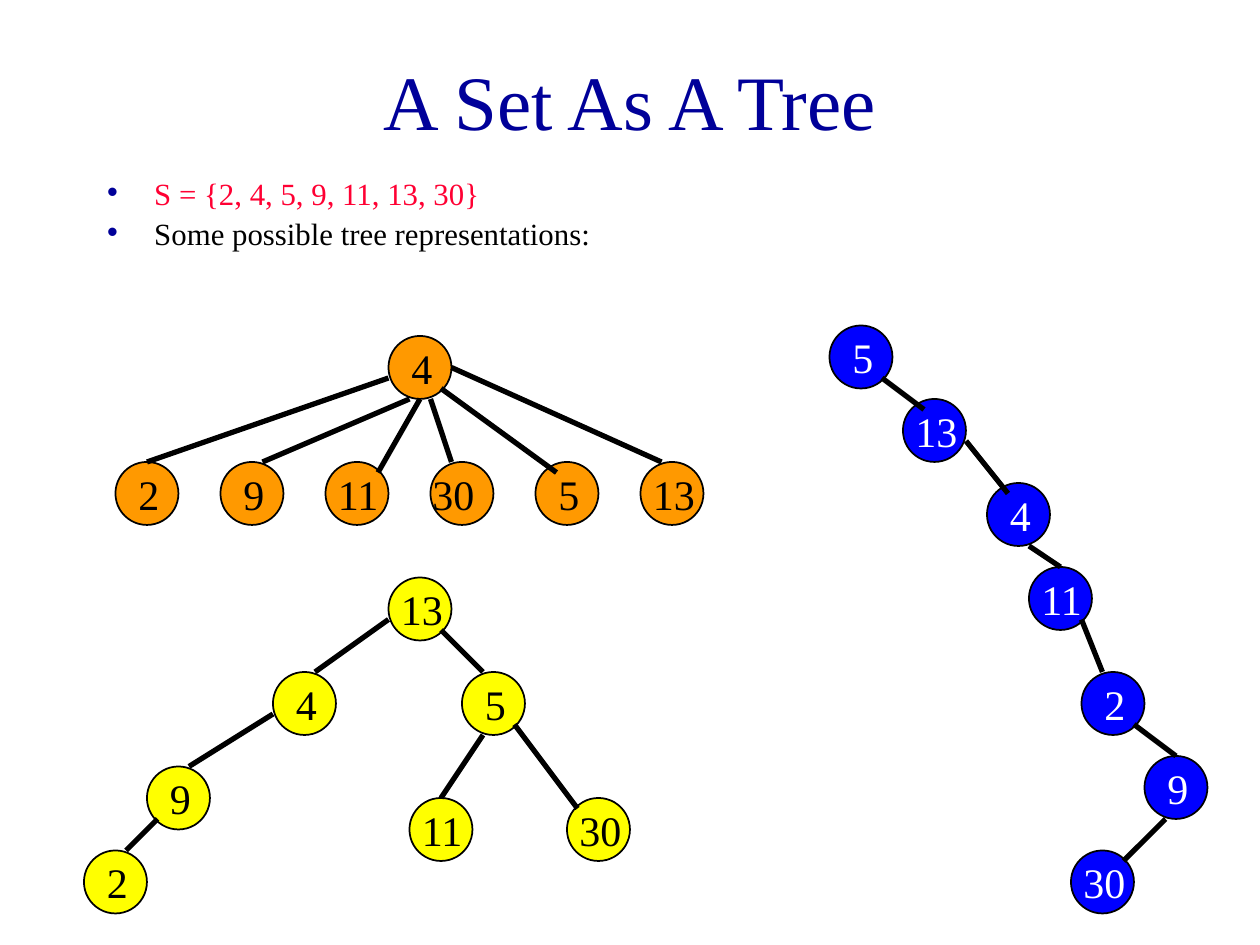
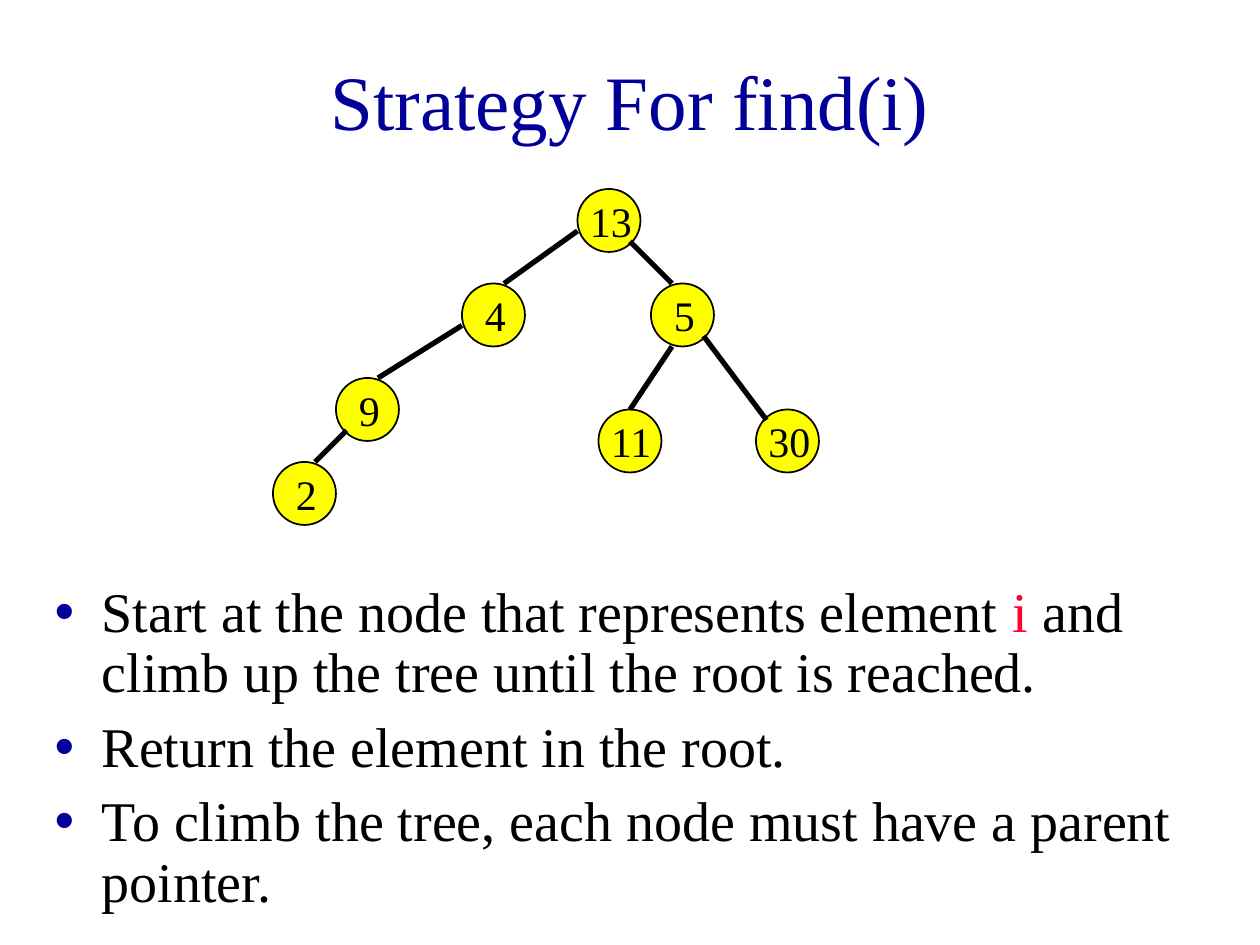
from dataclasses import dataclass

from lxml import etree
from pptx import Presentation
from pptx.dml.color import RGBColor
from pptx.enum.shapes import MSO_CONNECTOR, MSO_SHAPE
from pptx.enum.text import MSO_ANCHOR, MSO_AUTO_SIZE, PP_ALIGN
from pptx.oxml.ns import qn
from pptx.util import Cm, Length, Pt

ELLIPSE = MSO_SHAPE.OVAL
STRAIGHT = MSO_CONNECTOR.STRAIGHT
CENTER, LEFT = PP_ALIGN.CENTER, PP_ALIGN.LEFT
MIDDLE, TOP = MSO_ANCHOR.MIDDLE, MSO_ANCHOR.TOP
FIXED, GROW = MSO_AUTO_SIZE.NONE, MSO_AUTO_SIZE.SHAPE_TO_FIT_TEXT

Point = tuple[int, int]
Box = tuple[int, int, int, int]


@dataclass(frozen=True)
class Theme:
    font: str = "Times New Roman"
    navy: str = "000099"
    red: str = "FF0033"
    black: str = "000000"
    white: str = "FFFFFF"
    orange: str = "FF9900"
    yellow: str = "FFFF00"
    blue: str = "0000FF"
    title_size: float = 44
    intro_size: float = 17.6
    body_size: float = 32
    label_size: float = 24
    outline: float = 1
    edge: float = 3


THEME = Theme()


# Positions are counted in twelfths of an inch
@dataclass(frozen=True)
class Node:
    label: str
    at: Point
    label_shift: int = 0


@dataclass(frozen=True)
class Edge:
    parent: str
    leaves_at: Point  # offset inside the parent node
    child: str
    enters_at: Point  # offset inside the child node


@dataclass(frozen=True)
class Tree:
    nodes: list[Node]
    edges: list[Edge]
    fill: str
    ink: str = THEME.black


@dataclass(frozen=True)
class Span:
    text: str
    color: str = THEME.black


NODE_SIZE = 6
TOP_MIDDLE = (NODE_SIZE // 2, 0)
TITLE_BOX = (9, 2, 102, 15)
INTRO_BOX = (9, 17, 102, 8)
STEPS_BOX = (4, 55, 110, 35)

STAR_TREE = Tree(
    [Node("4", (37, 32))]
    + [Node(label, (11 + 10 * column, 44), -1 if label == "30" else 0)
       for column, label in enumerate(["2", "9", "11", "30", "5", "13"])],
    [
        Edge("4", (0, 4), "2", TOP_MIDDLE),
        Edge("4", (2, 6), "9", (4, 0)),
        Edge("4", (3, 6), "11", (5, 1)),
        Edge("4", (4, 6), "30", (2, 0)),
        Edge("4", (5, 5), "5", (2, 1)),
        Edge("4", (6, 3), "13", (2, 0)),
    ],
    THEME.orange,
)

BINARY_TREE = Tree(
    [
        Node("13", (0, 0)),
        Node("4", (-11, 9)),
        Node("5", (7, 9)),
        Node("9", (-23, 18)),
        Node("2", (-29, 26)),
        Node("11", (2, 21)),
        Node("30", (17, 21)),
    ],
    [
        Edge("13", (0, 4), "4", (4, 0)),
        Edge("4", (0, 4), "9", (4, 0)),
        Edge("13", (5, 5), "5", (2, 0)),
        Edge("9", (1, 5), "2", (4, 0)),
        Edge("5", (2, 6), "11", TOP_MIDDLE),
        Edge("5", (5, 5), "30", (1, 1)),
    ],
    THEME.yellow,
)

CHAIN_TREE = Tree(
    [
        Node("5", (79, 31)),
        Node("13", (86, 38)),
        Node("4", (94, 46)),
        Node("11", (98, 54)),
        Node("2", (103, 64)),
        Node("9", (109, 72)),
        Node("30", (102, 81)),
    ],
    [
        Edge("5", (5, 5), "13", (2, 1)),
        Edge("13", (6, 4), "4", (2, 1)),
        Edge("4", (4, 6), "11", TOP_MIDDLE),
        Edge("11", (5, 5), "2", (2, 0)),
        Edge("2", (5, 5), "9", TOP_MIDDLE),
        Edge("9", (2, 6), "30", (5, 1)),
    ],
    THEME.blue,
    THEME.white,
)


def grid(units: int) -> Length:
    return Cm(units * 2.54 / 12)


def assign(target, formats: dict) -> None:
    for name, value in formats.items():
        setattr(target, name, value)


def place(shape, box: Box) -> None:
    assign(shape, dict(zip(("left", "top", "width", "height"), map(grid, box))))


def add_span(para, span: Span, size: float) -> None:
    run = para.add_run()
    run.text = span.text
    assign(run.font, {"name": THEME.font, "size": Pt(size)})
    run.font.color.rgb = RGBColor.from_string(span.color)


def add_bullet(para) -> None:
    properties = para._p.get_or_add_pPr()
    properties.set("marL", str(Cm(0.95)))
    properties.set("indent", str(-Cm(0.95)))
    color = etree.SubElement(properties, qn("a:buClr"))
    etree.SubElement(color, qn("a:srgbClr"), val=THEME.navy)
    etree.SubElement(properties, qn("a:buChar"), char="•")


def write_title(page, text: str) -> None:
    title = page.shapes.title
    place(title, TITLE_BOX)
    assign(title.text_frame, {"vertical_anchor": MIDDLE, "auto_size": FIXED, "word_wrap": True})
    para = title.text_frame.paragraphs[0]
    para.alignment = CENTER
    add_span(para, Span(text, THEME.navy), THEME.title_size)


def write_list(page, box: Box, items: list[list[Span]], size: float, spacing: float) -> None:
    body = page.placeholders[1]
    place(body, box)
    frame = body.text_frame
    assign(frame, {"vertical_anchor": TOP, "auto_size": FIXED, "word_wrap": True})
    for index, spans in enumerate(items):
        para = frame.add_paragraph() if index else frame.paragraphs[0]
        assign(para, {"alignment": LEFT, "line_spacing": spacing, "space_before": Pt(8)})
        add_bullet(para)
        for span in spans:
            add_span(para, span, size)


def draw_node(shapes, node: Node, at: Point, tree: Tree):
    left, top = at
    circle = shapes.add_shape(ELLIPSE, *map(grid, (left, top, NODE_SIZE, NODE_SIZE)))
    circle.shadow.inherit = False
    circle.fill.solid()
    circle.fill.fore_color.rgb = RGBColor.from_string(tree.fill)
    circle.line.color.rgb = RGBColor.from_string(THEME.black)
    circle.line.width = Pt(THEME.outline)

    # One digit sits in a narrow box, two digits need a wide one
    inset, width = (1, 4) if len(node.label) == 1 else (node.label_shift, 9)
    label = shapes.add_textbox(*map(grid, (left + inset, top, width, NODE_SIZE)))
    assign(label.text_frame, {"word_wrap": True, "auto_size": GROW})
    para = label.text_frame.paragraphs[0]
    para.space_before = Pt(15)
    add_span(para, Span(node.label, tree.ink), THEME.label_size)
    return circle


def draw_edge(shapes, start: Point, end: Point):
    line = shapes.add_connector(STRAIGHT, *map(grid, start + end))
    line.line.color.rgb = RGBColor.from_string(THEME.black)
    line.line.width = Pt(THEME.edge)
    etree.SubElement(line._element.spPr, qn("a:effectLst"))
    return line


def shift(point: Point, offset: Point) -> Point:
    return point[0] + offset[0], point[1] + offset[1]


def draw_tree(page, tree: Tree, origin: Point = (0, 0)) -> None:
    shapes = page.shapes.add_group_shape().shapes
    corners = {node.label: shift(origin, node.at) for node in tree.nodes}
    circles = {node.label: draw_node(shapes, node, corners[node.label], tree)
               for node in tree.nodes}
    for edge in tree.edges:
        line = draw_edge(shapes, shift(corners[edge.parent], edge.leaves_at),
                         shift(corners[edge.child], edge.enters_at))
        if edge.enters_at == TOP_MIDDLE:
            line.end_connect(circles[edge.child], 0)


def add_page(deck, title: str):
    page = deck.slides.add_slide(deck.slide_layouts[1])
    write_title(page, title)
    return page


def main() -> None:
    deck = Presentation()
    assign(deck, {"slide_width": Cm(25.4), "slide_height": Cm(19.05)})

    # Three trees for one set
    page = add_page(deck, "A Set As A Tree")
    write_list(page, INTRO_BOX, [
        [Span("S = {2, 4, 5, 9, 11, 13, 30}", THEME.red)],
        [Span("Some possible tree representations:")],
    ], THEME.intro_size, 0.7)
    draw_tree(page, STAR_TREE)
    draw_tree(page, BINARY_TREE, (37, 55))
    draw_tree(page, CHAIN_TREE)

    # Climbing to the root
    page = add_page(deck, "Strategy For find(i)")
    write_list(page, STEPS_BOX, [
        [Span("Start at the node that represents element "), Span("i", THEME.red),
         Span(" and climb up the tree until the root is reached.")],
        [Span("Return the element in the root.")],
        [Span("To climb the tree, each node must have a parent pointer.")],
    ], THEME.body_size, 0.9)
    draw_tree(page, BINARY_TREE, (55, 18))

    deck.save("out.pptx")


if __name__ == "__main__":
    main()
